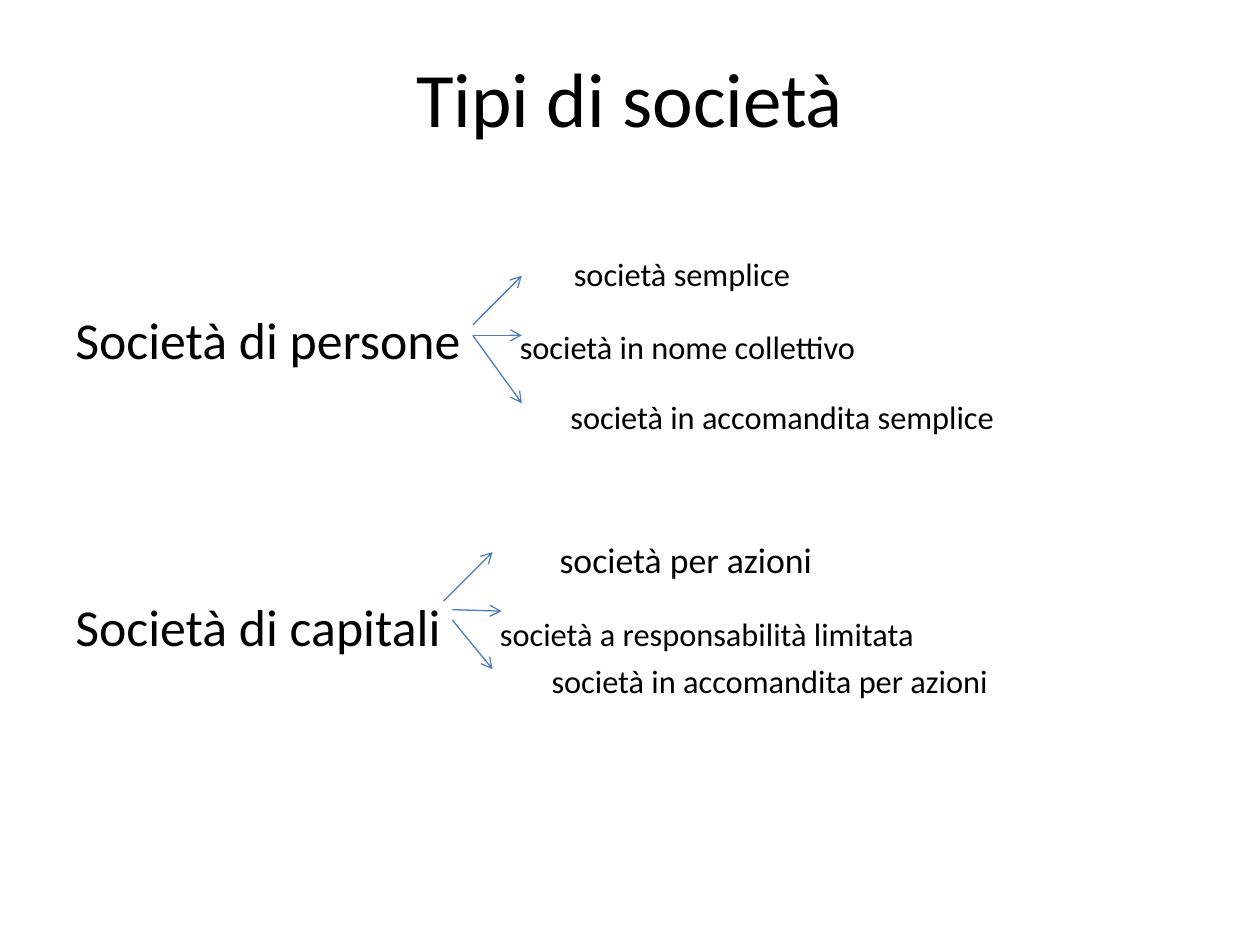
from lxml.etree import SubElement
from pptx import Presentation
from pptx.dml.color import RGBColor
from pptx.enum.shapes import MSO_CONNECTOR as Connector
from pptx.enum.text import MSO_ANCHOR as Anchor, PP_ALIGN as Align
from pptx.oxml.ns import qn
from pptx.util import Cm, Pt

TITLE = "Tipi di società"
LARGE, SMALL = 29.6, 18.5
COMPANY_TYPES = [
    {"kind": "", "form": "società semplice", "left": 10.05, "size": SMALL, "gap": 0},
    {"kind": "Società di persone", "form": "società in nome collettivo",
     "left": 8.96, "size": SMALL, "gap": 0.3},
    {"kind": "", "form": "società in accomandita semplice",
     "left": 9.98, "size": SMALL, "gap": 0.55},
    {"kind": "", "form": "società per azioni", "left": 9.76, "size": 20.4, "gap": 2.06},
    {"kind": "Società di capitali", "form": "società a responsabilità limitata",
     "left": 8.56, "size": SMALL, "gap": 0.28},
    {"kind": "", "form": "società in accomandita per azioni",
     "left": 9.6, "size": SMALL, "gap": 0.08},
]
ARROWS = [
    (9.53, 6.55, 10.52, 5.56),
    (9.53, 6.76, 10.52, 6.76),
    (9.53, 6.76, 10.52, 8.13),
    (9.12, 12.29, 10.11, 12.32),
    (8.94, 12.12, 9.93, 11.13),
    (9.12, 12.5, 9.93, 13.49),
]
INK, ARROW_BLUE = "000000", "4B7EBC"
TITLE_PLACE = {"left": Cm(1.27), "top": Cm(0.76), "width": Cm(22.86), "height": Cm(2.36)}
BODY_PLACE = (Cm(1.27), Cm(3.12), Cm(22.86), Cm(13.89))
BODY_FORMAT = {"word_wrap": True, "vertical_anchor": Anchor.TOP,
               "margin_left": Cm(0.25), "margin_top": Cm(2)}


def apply(target, values):
    for name, value in values.items():
        setattr(target, name, value)


def paint(color, code):
    color.rgb = RGBColor.from_string(code)


def write(paragraph, words, size):
    run = paragraph.add_run()
    run.text = words
    apply(run.font, {"name": "Calibri", "size": Pt(size)})
    paint(run.font.color, INK)


def set_tab(paragraph, position):
    stops = SubElement(paragraph._p.get_or_add_pPr(), qn("a:tabLst"))
    SubElement(stops, qn("a:tab"), pos=str(position), algn="l")


def set_indent(paragraph, position):
    properties = paragraph._p.get_or_add_pPr()
    properties.set("marL", str(position))
    properties.set("indent", "0")


def add_arrow(shapes, ends):
    arrow = shapes.add_connector(Connector.STRAIGHT, *map(Cm, ends))
    arrow.line.width = Pt(0.75)
    paint(arrow.line.color, ARROW_BLUE)
    SubElement(arrow.line._get_or_add_ln(), qn("a:tailEnd"), type="arrow")
    SubElement(arrow._element.spPr, qn("a:effectLst"))


deck = Presentation()
apply(deck, {"slide_width": Cm(25.4), "slide_height": Cm(19.05)})
slide = deck.slides.add_slide(deck.slide_layouts[5])

title = slide.shapes.title
apply(title, TITLE_PLACE)
title.text_frame.vertical_anchor = Anchor.MIDDLE
heading = title.text_frame.paragraphs[0]
heading.alignment = Align.CENTER
write(heading, TITLE, 44)

body = slide.shapes.add_textbox(*BODY_PLACE).text_frame
apply(body, BODY_FORMAT)
for index, company in enumerate(COMPANY_TYPES):
    line = body.add_paragraph() if index else body.paragraphs[0]
    apply(line, {"alignment": Align.LEFT, "space_before": Cm(company["gap"])})
    if company["kind"]:
        set_tab(line, Cm(company["left"]))
        write(line, company["kind"] + "\t", LARGE)
    else:
        set_indent(line, Cm(company["left"]))
    write(line, company["form"], company["size"])

for ends in ARROWS:
    add_arrow(slide.shapes, ends)

deck.save("out.pptx")
